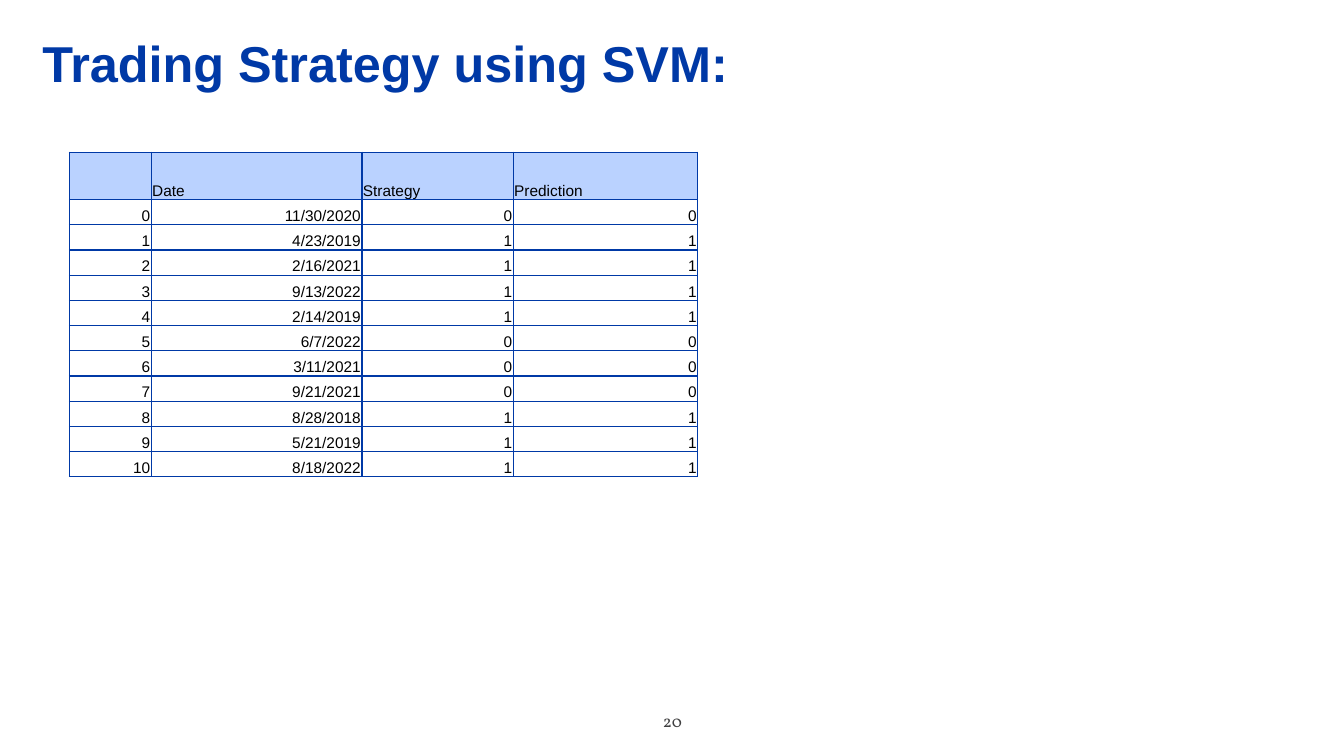
from dataclasses import dataclass

from lxml.etree import SubElement
from pptx import Presentation
from pptx.dml.color import RGBColor
from pptx.enum.text import MSO_ANCHOR, PP_ALIGN
from pptx.oxml.ns import qn
from pptx.util import Inches, Pt


@dataclass(frozen=True)
class Theme:
    heading: str = "0039A6"
    rule: str = "0039A6"
    header_fill: str = "BAD2FF"
    body: str = "000000"
    footer: str = "404041"
    main_font: str = "Arial"
    footer_font: str = "Vollkorn"
    heading_size: int = 36
    body_size: int = 11
    footer_size: int = 12
    rule_width: int = 1


HEADINGS = ("", "Date", "Strategy", "Prediction")
SIGNALS = [
    ("11/30/2020", 0, 0),
    ("4/23/2019", 1, 1),
    ("2/16/2021", 1, 1),
    ("9/13/2022", 1, 1),
    ("2/14/2019", 1, 1),
    ("6/7/2022", 0, 0),
    ("3/11/2021", 0, 0),
    ("9/21/2021", 0, 0),
    ("8/28/2018", 1, 1),
    ("5/21/2019", 1, 1),
    ("8/18/2022", 1, 1),
]
COLUMN_WIDTHS = (0.81, 2.09, 1.5, 1.83)
HEADER_HEIGHT, ROW_HEIGHT = 0.47, 0.25


class SlideBuilder:
    def __init__(self, slide, theme):
        self.slide = slide
        self.theme = theme

    def fill_text(self, frame, text, font, size, color, align, bold=False):
        frame.text = text
        paragraph = frame.paragraphs[0]
        paragraph.alignment = align
        for run in paragraph.runs:
            run.font.name = font
            run.font.size = Pt(size)
            run.font.bold = bold
            run.font.color.rgb = RGBColor.from_string(color)
        return paragraph

    def text(self, box, anchor, margins, *style, **options):
        frame = self.slide.shapes.add_textbox(*map(Inches, box)).text_frame
        frame.word_wrap = True
        frame.vertical_anchor = anchor
        frame.margin_left = frame.margin_right = Inches(margins[0])
        frame.margin_top = frame.margin_bottom = Inches(margins[1])
        return self.fill_text(frame, *style, **options)

    def borders(self, cell):
        properties = cell._tc.get_or_add_tcPr()
        # Border lines come before the fill in the cell properties
        for position, side in enumerate(("lnL", "lnR", "lnT", "lnB")):
            line = SubElement(properties, qn(f"a:{side}"),
                              w=str(Pt(self.theme.rule_width)))
            fill = SubElement(line, qn("a:solidFill"))
            SubElement(fill, qn("a:srgbClr"), val=self.theme.rule)
            properties.insert(position, line)

    def cell(self, cell, text, is_header):
        theme = self.theme
        cell.margin_left = cell.margin_right = cell.margin_top = Inches(0.01)
        cell.margin_bottom = 0
        cell.vertical_anchor = MSO_ANCHOR.BOTTOM
        if is_header:
            cell.fill.solid()
            cell.fill.fore_color.rgb = RGBColor.from_string(theme.header_fill)
        else:
            cell.fill.background()
        self.fill_text(
            cell.text_frame, text, theme.main_font, theme.body_size,
            theme.body, PP_ALIGN.LEFT if is_header else PP_ALIGN.RIGHT)
        self.borders(cell)

    def table(self, left, top, widths, heights, rows):
        table = self.slide.shapes.add_table(
            len(rows), len(widths), Inches(left), Inches(top),
            Inches(sum(widths)), Inches(sum(heights))).table
        table.horz_banding = False
        for column, width in zip(table.columns, widths):
            column.width = Inches(width)
        for r, (height, values) in enumerate(zip(heights, rows)):
            table.rows[r].height = Inches(height)
            for c, value in enumerate(values):
                self.cell(table.cell(r, c), str(value), r == 0)


def main():
    deck = Presentation()
    deck.slide_width, deck.slide_height = Inches(13.33), Inches(7.5)
    theme = Theme()
    builder = SlideBuilder(deck.slides.add_slide(deck.slide_layouts[6]), theme)

    # Heading
    heading = builder.text(
        (0.42, 0.38, 12.5, 0.55), MSO_ANCHOR.BOTTOM, (0, 0),
        "Trading Strategy using SVM:", theme.main_font, theme.heading_size,
        theme.heading, PP_ALIGN.LEFT, bold=True)
    heading.line_spacing = 0.9

    # Strategy against prediction, numbered by row
    rows = [HEADINGS] + [(i, *signal) for i, signal in enumerate(SIGNALS)]
    heights = [HEADER_HEIGHT] + [ROW_HEIGHT] * len(SIGNALS)
    builder.table(0.69, 1.51, COLUMN_WIDTHS, heights, rows)

    # Page number
    builder.text((5.17, 6.95, 3, 0.4), MSO_ANCHOR.MIDDLE, (0.1, 0.05),
                 "20", theme.footer_font, theme.footer_size, theme.footer,
                 PP_ALIGN.CENTER)

    deck.save("out.pptx")


if __name__ == "__main__":
    main()
